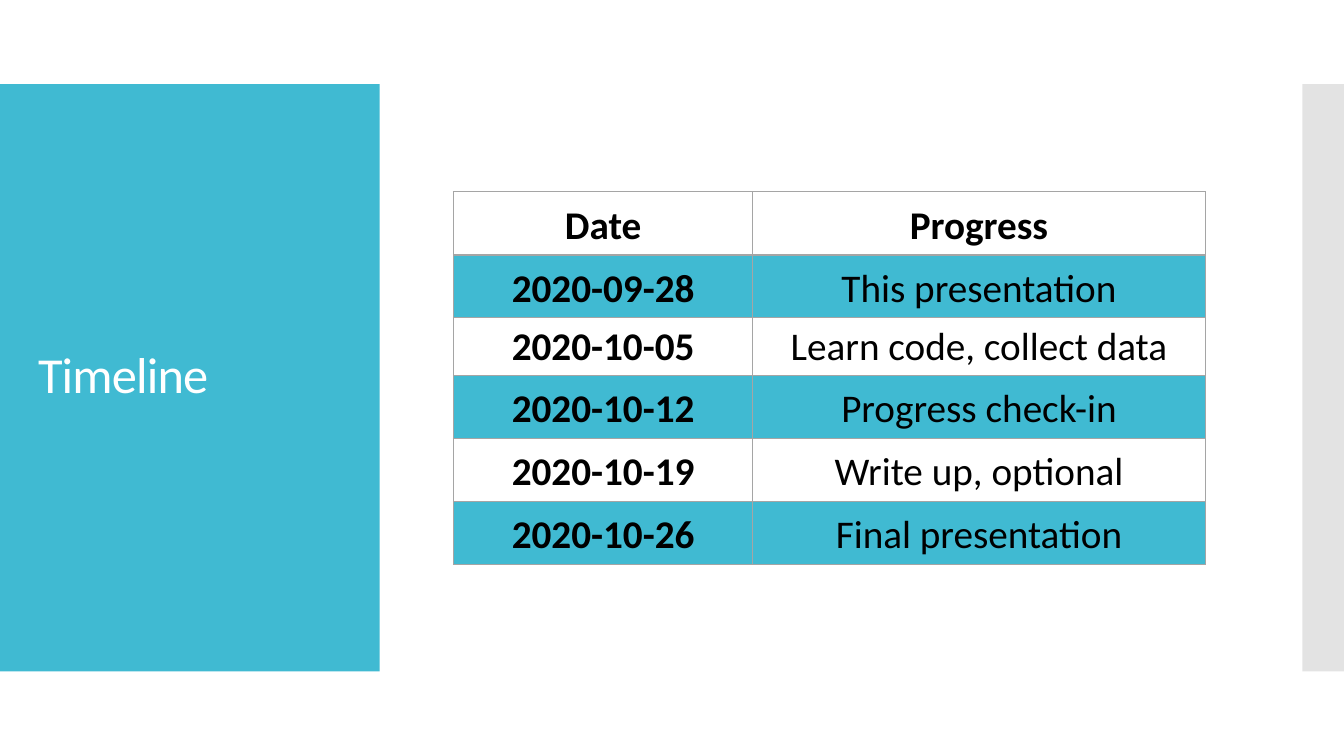
from dataclasses import dataclass
from lxml.etree import fromstring
from pptx import Presentation
from pptx.dml.color import RGBColor
from pptx.enum.shapes import MSO_SHAPE
from pptx.enum.text import MSO_ANCHOR, PP_ALIGN
from pptx.oxml.ns import qn
from pptx.util import Cm, Pt

# Content
TITLE = "Timeline"
ROWS = [
    ("Date", "Progress"),
    ("2020-09-28", "This presentation"),
    ("2020-10-05", "Learn code, collect data"),
    ("2020-10-12", "Progress check-in"),
    ("2020-10-19", "Write up, optional"),
    ("2020-10-26", "Final presentation"),
]
WIDTHS = (7.54, 11.4)
TALL, SHORT = 1.59, 1.37
NS = "http://schemas.openxmlformats.org/drawingml/2006/main"


@dataclass
class Theme:
    font: str = "Calibri"
    teal: str = "40BAD2"
    gray: str = "C8C8C8"
    line: str = "A5A5A5"
    white: str = "FFFFFF"
    black: str = "000000"
    head: int = 36
    body: int = 28


theme = Theme()


def style(para, size, color, bold=False):
    font = para.runs[0].font
    font.name, font.size, font.bold = theme.font, Pt(size), bold
    font.color.rgb = RGBColor.from_string(color)


def add_band(slide, left, width, color):
    band = slide.shapes.add_shape(
        MSO_SHAPE.RECTANGLE, Cm(left), Cm(2.12), Cm(width), Cm(14.8))
    band.shadow.inherit = False
    band.fill.solid()
    band.fill.fore_color.rgb = RGBColor.from_string(color)
    band.line.fill.background()
    return band


def add_lines(cell, widths):
    props = cell._tc.get_or_add_tcPr()
    for spot, (side, width) in enumerate(widths.items()):
        props.insert(spot, fromstring(
            f'<a:ln{side} xmlns:a="{NS}" w="{Pt(width)}"><a:solidFill>'
            f'<a:srgbClr val="{theme.line}"/></a:solidFill></a:ln{side}>'))


def fill_cell(cell, text, row, col):
    cell.text_frame.text = text
    para = cell.text_frame.paragraphs[0]
    para.alignment = PP_ALIGN.CENTER
    style(para, theme.body, theme.black, row == 0 or col == 0)
    cell.vertical_anchor = MSO_ANCHOR.BOTTOM
    cell.margin_left = cell.margin_right = Cm(0.53)
    cell.margin_top = cell.margin_bottom = Cm(0.13)
    cell.fill.solid()
    cell.fill.fore_color.rgb = RGBColor.from_string(
        theme.teal if row % 2 else theme.white)
    # A heavier rule parts the header from the dates
    add_lines(cell, {"L": 1, "R": 1, "T": 2 if row == 1 else 1,
                     "B": 2 if row == 0 else 1})


def main():
    deck = Presentation()
    deck.slide_width, deck.slide_height = Cm(33.87), Cm(19.05)
    slide = deck.slides.add_slide(deck.slide_layouts[6])

    # Side bands
    add_band(slide, 0, 9.57, theme.teal)
    edge = add_band(slide, 32.82, 1.05, theme.gray)
    tint = edge.fill._xPr.find(qn("a:solidFill"))[0]
    tint.append(fromstring(f'<a:alpha xmlns:a="{NS}" val="50000"/>'))

    # Title
    box = slide.shapes.add_textbox(Cm(0.71), Cm(3.12), Cm(8.18), Cm(12.78))
    frame = box.text_frame
    frame.word_wrap = True
    frame.vertical_anchor = MSO_ANCHOR.MIDDLE
    frame.text = TITLE
    para = frame.paragraphs[0]
    para.line_spacing = 0.9
    style(para, theme.head, theme.white)
    para.runs[0].font._element.set("spc", "-60")

    # Timeline table
    highs = [SHORT if row == 2 else TALL for row in range(len(ROWS))]
    table = slide.shapes.add_table(
        len(ROWS), len(WIDTHS), Cm(11.43), Cm(4.83),
        Cm(sum(WIDTHS)), Cm(sum(highs))).table
    for col, width in enumerate(WIDTHS):
        table.columns[col].width = Cm(width)
    for row, (texts, high) in enumerate(zip(ROWS, highs)):
        table.rows[row].height = Cm(high)
        for col, text in enumerate(texts):
            fill_cell(table.cell(row, col), text, row, col)

    deck.save("out.pptx")


if __name__ == "__main__":
    main()
